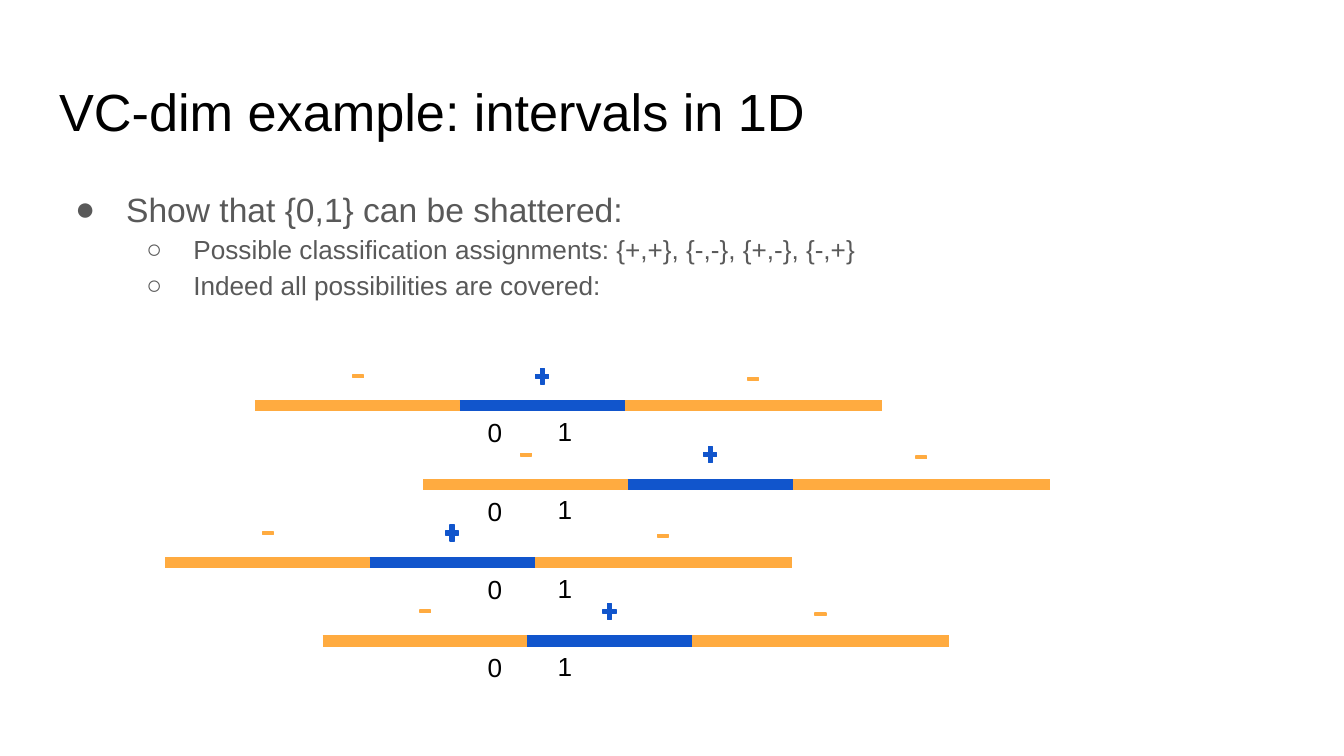
import pptx
import pptx.dml.color
import pptx.enum.shapes
import pptx.enum.text
import pptx.oxml.ns
import pptx.util
from lxml import etree
from pptx.util import Inches

COLORS = {"title": "000000", "body": "595959", "label": "000000",
          "positive": "1155CC", "negative": "FFAB40"}
FONT = "Arial"
SHAPES = pptx.enum.shapes.MSO_SHAPE

BULLETS = [
    (0, "Show that {0,1} can be shattered:"),
    (1, "Possible classification assignments: {+,+}, {-,-}, {+,-}, {-,+}"),
    (1, "Indeed all possibilities are covered:"),
]
# level: (size, bullet, left margin, hanging indent)
BULLET_STYLES = {0: (18, "●", 0.5, 0.38), 1: (14, "○", 1, 0.35)}

# Left end of the line in each row
ROW_LEFTS = [1.9, 3.15, 1.23, 2.4]
FIRST_ROW_Y, LAST_ROW_Y = 3.02, 4.77

# Parts of one row, relative to the left end of its line
SEGMENTS = [("negative", 0, 1.69), ("positive", 1.52, 2.75), ("negative", 2.75, 4.66)]
SIGNS = [
    (SHAPES.MATH_PLUS, "positive", (2.07, -0.3, 0.13, 0.16)),
    (SHAPES.MATH_MINUS, "negative", (0.71, -0.26, 0.11, 0.08)),
    (SHAPES.MATH_MINUS, "negative", (3.65, -0.24, 0.11, 0.08)),
]
# Point labels: fixed left, top relative to the line
POINTS = [("0", 3.53, -0.02, 0.53, 0.47), ("1", 4.05, -0.03, 0.35, 0.29)]


def rgb(name):
    return pptx.dml.color.RGBColor.from_string(COLORS[name])


def add_run(paragraph, text, size, color):
    run = paragraph.add_run()
    run.text = text
    run.font.name = FONT
    run.font.size = pptx.util.Pt(size)
    run.font.color.rgb = rgb(color)


def prepare_frame(shape):
    frame = shape.text_frame
    frame.word_wrap = True
    frame.auto_size = pptx.enum.text.MSO_AUTO_SIZE.NONE
    frame.vertical_anchor = pptx.enum.text.MSO_ANCHOR.TOP
    frame.margin_left = frame.margin_right = Inches(0.1)
    frame.margin_top = frame.margin_bottom = Inches(0.1)
    return frame


def add_text_frame(slide, box):
    return prepare_frame(slide.shapes.add_textbox(*map(Inches, box)))


def set_bullet(paragraph, level):
    _, character, margin, hanging = BULLET_STYLES[level]
    properties = paragraph._p.get_or_add_pPr()
    properties.set("marL", str(Inches(margin)))
    properties.set("indent", str(-Inches(hanging)))
    qn = pptx.oxml.ns.qn
    color = etree.SubElement(properties, qn("a:buClr"))
    etree.SubElement(color, qn("a:srgbClr"), val=COLORS["body"])
    etree.SubElement(properties, qn("a:buFont"), typeface=FONT)
    etree.SubElement(properties, qn("a:buChar"), char=character)


def place_title(slide, box):
    title = slide.shapes.title
    title.left, title.top, title.width, title.height = map(Inches, box)
    paragraph = prepare_frame(title).paragraphs[0]
    paragraph.alignment = pptx.enum.text.PP_ALIGN.LEFT
    add_run(paragraph, "VC-dim example: intervals in 1D", 28, "title")


def place_bullets(slide, box):
    frame = add_text_frame(slide, box)
    for index, (level, text) in enumerate(BULLETS):
        paragraph = frame.add_paragraph() if index else frame.paragraphs[0]
        paragraph.level = level
        paragraph.line_spacing = 1.15
        set_bullet(paragraph, level)
        add_run(paragraph, text, BULLET_STYLES[level][0], "body")


def place_interval(slide, left, y):
    group = slide.shapes.add_group_shape()

    # Line with the positive interval in the middle
    for color, start, end in SEGMENTS:
        segment = group.shapes.add_connector(
            pptx.enum.shapes.MSO_CONNECTOR.STRAIGHT,
            Inches(left + start), Inches(y), Inches(left + end), Inches(y))
        segment.line.color.rgb = rgb(color)
        segment.line.width = pptx.util.Pt(6)
        etree.SubElement(segment._element.spPr, pptx.oxml.ns.qn("a:effectLst"))

    # Signs above the line
    for kind, color, (x, dy, width, height) in SIGNS:
        sign = group.shapes.add_shape(
            kind, *map(Inches, (left + x, y + dy, width, height)))
        sign.adjustments[0] = 0.235
        sign.shadow.inherit = False
        sign.fill.solid()
        sign.fill.fore_color.rgb = rgb(color)
        sign.line.color.rgb = rgb(color)
        sign.line.width = pptx.util.Pt(0.75)

    # Points below the line
    for text, x, dy, width, height in POINTS:
        frame = add_text_frame(slide, (x, y + dy, width, height))
        add_run(frame.paragraphs[0], text, 14, "label")


def main():
    # Widescreen slide, 16:9
    presentation = pptx.Presentation()
    presentation.slide_width = Inches(10)
    presentation.slide_height = Inches(10 * 9 / 16)
    slide = presentation.slides.add_slide(presentation.slide_layouts[5])

    place_title(slide, (0.34, 0.49, 9.32, 0.63))
    place_bullets(slide, (0.34, 1.26, 9.32, 3.74))
    pitch = (LAST_ROW_Y - FIRST_ROW_Y) / (len(ROW_LEFTS) - 1)
    for row, left in enumerate(ROW_LEFTS):
        place_interval(slide, left, FIRST_ROW_Y + row * pitch)

    presentation.save("out.pptx")


if __name__ == "__main__":
    main()
